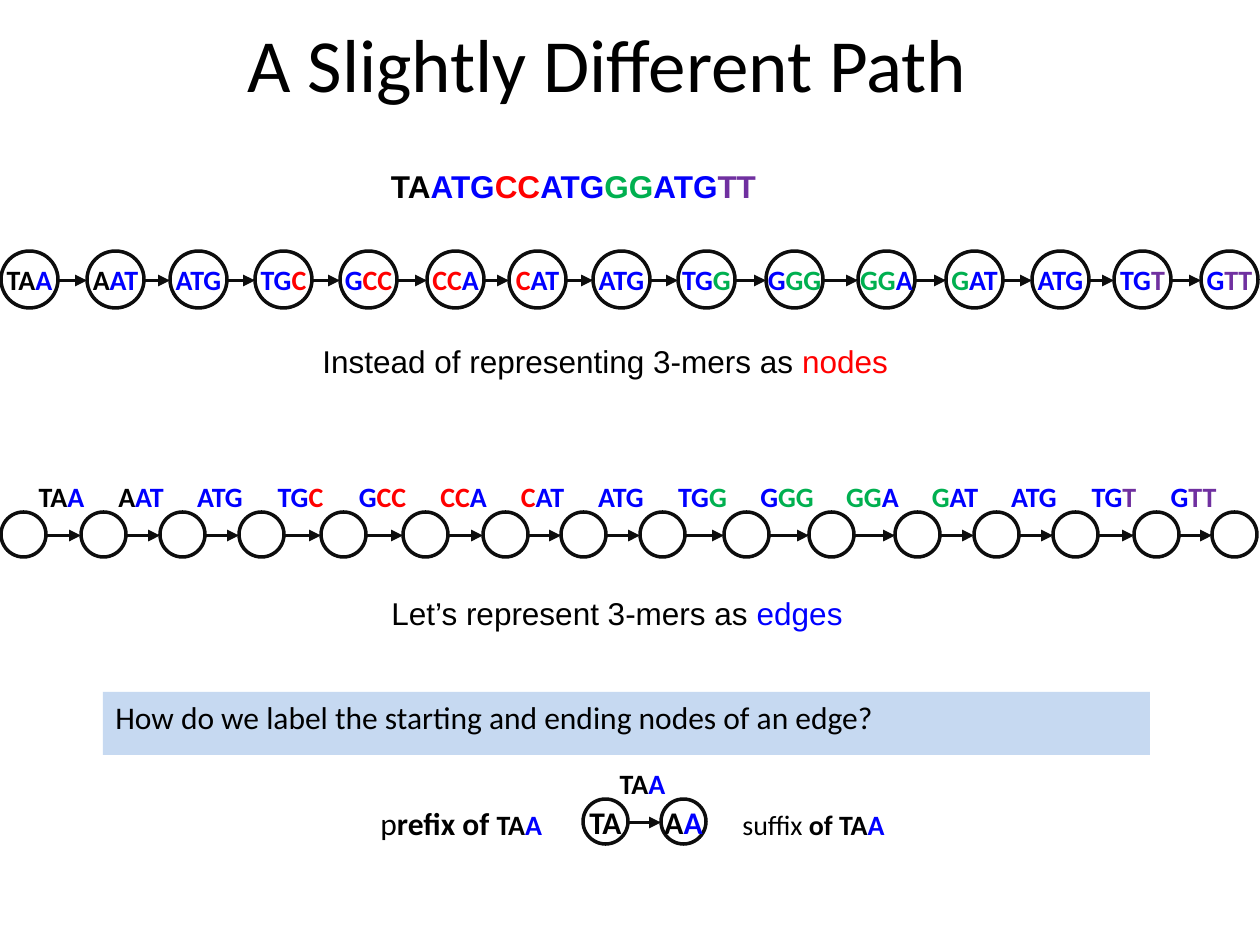
from itertools import groupby

from lxml.etree import SubElement
from pptx import Presentation
from pptx.dml.color import RGBColor
from pptx.enum.shapes import MSO_CONNECTOR as CONN, MSO_SHAPE as SHAPE
from pptx.enum.text import MSO_ANCHOR as ANCHOR, MSO_AUTO_SIZE as AUTO, PP_ALIGN as ALIGN
from pptx.oxml.ns import qn
from pptx.util import Emu, Pt

BLACK = RGBColor(0, 0, 0)
INK = RGBColor(0x0D, 0x0D, 0x0D)
BLUE = RGBColor(0, 0, 0xFF)
RED = RGBColor(0xFF, 0, 0)
GREEN = RGBColor(0, 0xB0, 0x50)
PURPLE = RGBColor(0x70, 0x30, 0xA0)
PALE = RGBColor(0xC6, 0xD9, 0xF1)

TITLE = "A Slightly Different Path"
GENOME = [("TA", BLACK), ("ATG", BLUE), ("CC", RED), ("ATG", BLUE),
          ("GG", GREEN), ("ATG", BLUE), ("TT", PURPLE)]
NODES_NOTE = [("Instead of representing 3-mers as ", BLACK), ("nodes", RED)]
EDGES_NOTE = [("Let’s represent 3-mers as ", BLACK), ("edges", BLUE)]
QUESTION = "How do we label the starting and ending nodes of an edge?"

# Left sides of the circles, in px
KMER_NODES = [1, 87, 170, 255, 340, 427, 509, 593, 678, 766, 858, 946, 1032, 1114, 1201]
EMPTY_NODES = [1, 81, 160, 239, 321, 403, 483, 561, 640, 724, 809, 895, 974, 1053,
               1134, 1212]
EXAMPLE_NODES = [583, 661]
BIG, SMALL = 57, 45     # circle diameters
LABEL_W, LABEL_H = 84, 47

LETTERS = [(c, colour) for text, colour in GENOME for c in text]


def px(n):
    return Emu(round(n * 914400 / 126))


def mer(start, k=3):
    """Coloured runs of the k letters of the genome from start."""
    return [("".join(c for c, _ in group), colour)
            for colour, group in groupby(LETTERS[start:start + k], key=lambda x: x[1])]


def write(p, runs, **base):
    """Add (text, colour[, format]) runs, each format laid over base."""
    for text, colour, *extra in runs:
        r = p.add_run()
        r.text = text
        r.font.color.rgb = colour
        for name, value in {**base, **(extra[0] if extra else {})}.items():
            setattr(r.font, name, value)


def textbox(s, box, runs, wrap=False, align=ALIGN.LEFT, font="Calibri", size=16, bold=True):
    tf = s.shapes.add_textbox(*map(px, box)).text_frame
    tf.word_wrap = wrap
    tf.auto_size = AUTO.SHAPE_TO_FIT_TEXT
    p = tf.paragraphs[0]
    p.alignment = align
    write(p, runs, name=font, size=Pt(size), bold=bold)
    return tf


def label(s, centre, top, runs, size=16):
    textbox(s, (centre - LABEL_W / 2, top, LABEL_W, LABEL_H), runs,
            align=ALIGN.CENTER, size=size)


def circle(s, left, top, d):
    sp = s.shapes.add_shape(SHAPE.OVAL, px(left), px(top), px(d), px(d))
    sp.shadow.inherit = False
    sp.fill.background()
    sp.line.color.rgb = INK
    sp.line.width = Pt(2)


def arrow(s, x1, x2, y):
    c = s.shapes.add_connector(CONN.STRAIGHT, px(x1), px(y), px(x2), px(y))
    c.line.color.rgb = INK
    c.line.width = Pt(2.25)
    SubElement(c.line._get_or_add_ln(), qn("a:tailEnd"), type="triangle")
    SubElement(c._element.spPr, qn("a:effectLst"))


def path(s, lefts, top, d):
    """Circles joined by arrows."""
    for left in lefts:
        circle(s, left, top, d)
    for a, b in zip(lefts, lefts[1:]):
        arrow(s, a + d + 1, b, top + d / 2 + 1)


def node_labels(s, lefts, top, d, k, size, height):
    for i, left in enumerate(lefts):
        label(s, left + d / 2, top + (d - height) / 2, mer(i, k), size)


def edge_labels(s, lefts, top, d):
    for i, (a, b) in enumerate(zip(lefts, lefts[1:])):
        label(s, (a + b + d) / 2 - 2, top - 39, mer(i))


def main():
    prs = Presentation()
    prs.slide_width, prs.slide_height = px(1260), px(945)
    s = prs.slides.add_slide(prs.slide_layouts[5])

    title = s.shapes.title
    title.left, title.top, title.width, title.height = map(px, (66, 10, 1134, 105))
    tf = title.text_frame
    tf.auto_size = AUTO.NONE
    tf.vertical_anchor = ANCHOR.MIDDLE
    tf.margin_right = px(65)
    tf.paragraphs[0].alignment = ALIGN.CENTER
    write(tf.paragraphs[0], [(TITLE, BLACK)], name="Calibri", size=Pt(42.9))

    note = dict(wrap=True, font="Arial", size=18)
    tf = textbox(s, (369, 161, 536, 63), GENOME, **note)
    tf.margin_left = px(22)
    textbox(s, (310, 336, 610, 50), NODES_NOTE, bold=False, **note)
    textbox(s, (379, 588, 481, 50), EDGES_NOTE, bold=False, **note)

    path(s, KMER_NODES, 251, BIG)
    node_labels(s, KMER_NODES, 251, BIG, 3, 16, LABEL_H)
    path(s, EMPTY_NODES, 512, SMALL)
    edge_labels(s, EMPTY_NODES, 512, SMALL)

    band = s.shapes.add_shape(SHAPE.RECTANGLE, *map(px, (103, 692, 1047, 63)))
    band.shadow.inherit = False
    band.fill.solid()
    band.fill.fore_color.rgb = PALE
    band.line.fill.background()
    tf = band.text_frame
    tf.word_wrap = True
    tf.vertical_anchor = ANCHOR.TOP
    tf.paragraphs[0].alignment = ALIGN.LEFT
    write(tf.paragraphs[0], [(QUESTION, BLACK)], name="Calibri", size=Pt(18))

    path(s, EXAMPLE_NODES, 799, SMALL)
    edge_labels(s, EXAMPLE_NODES, 799, SMALL)
    node_labels(s, EXAMPLE_NODES, 799, SMALL, 2, 18, 50)
    large = {"size": Pt(18)}
    textbox(s, (368, 798, 193, 50),
            [("p", BLACK, {**large, "bold": False}), ("refix of ", BLACK, large)] + mer(0))
    textbox(s, (730, 801, 175, 47),
            [("suffix", BLACK, {"bold": False}), (" of ", BLACK)] + mer(0))

    prs.save("out.pptx")


if __name__ == "__main__":
    main()
